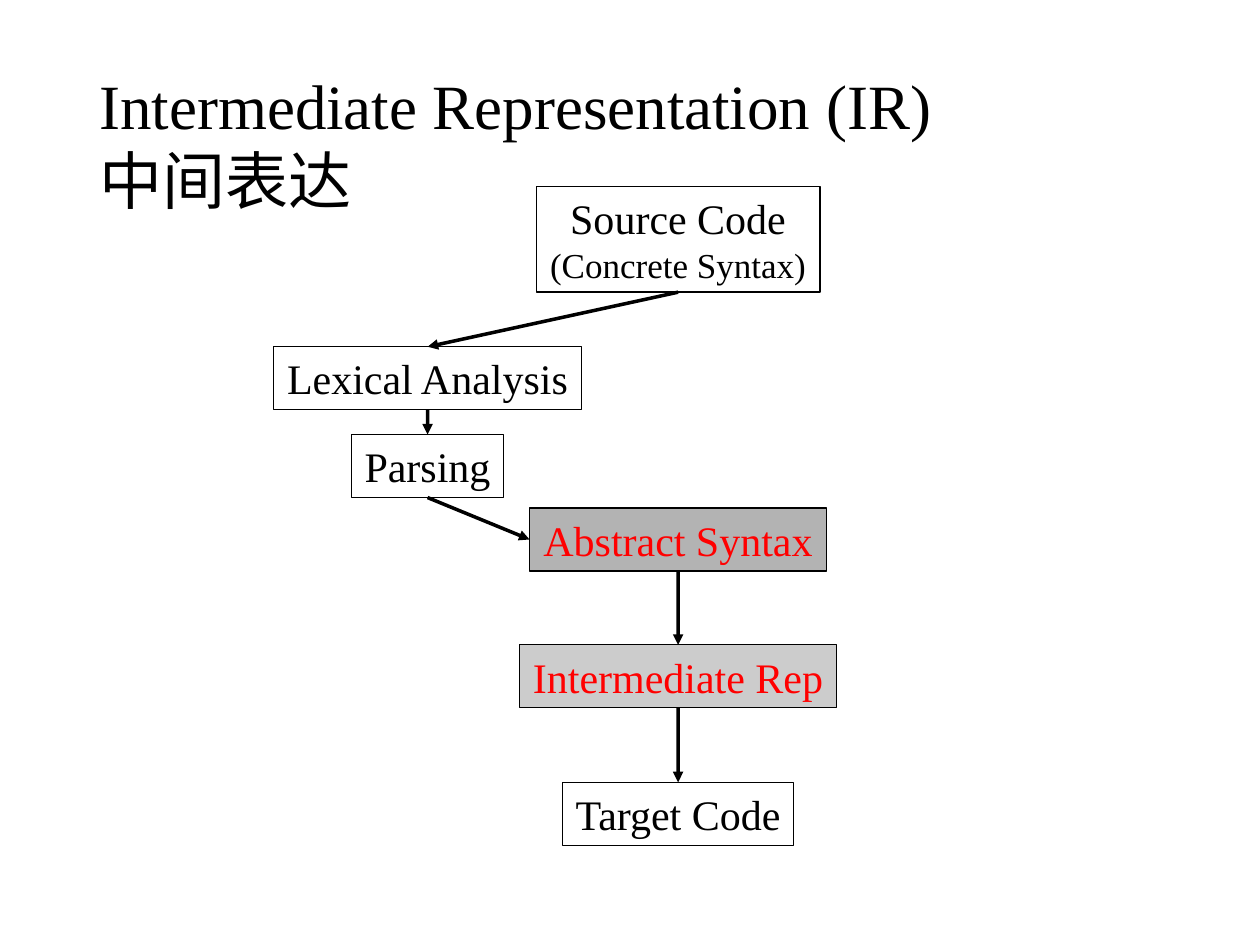
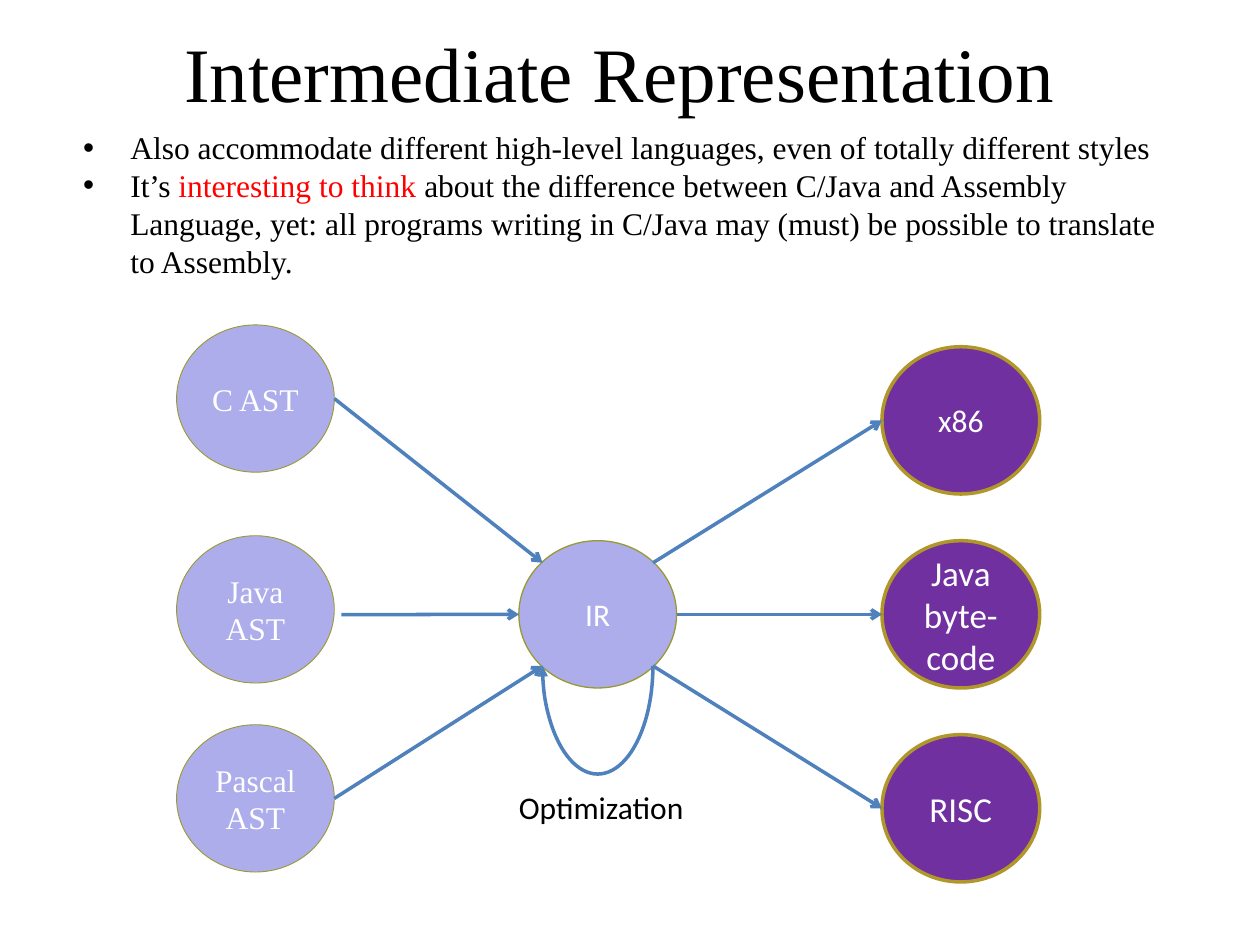
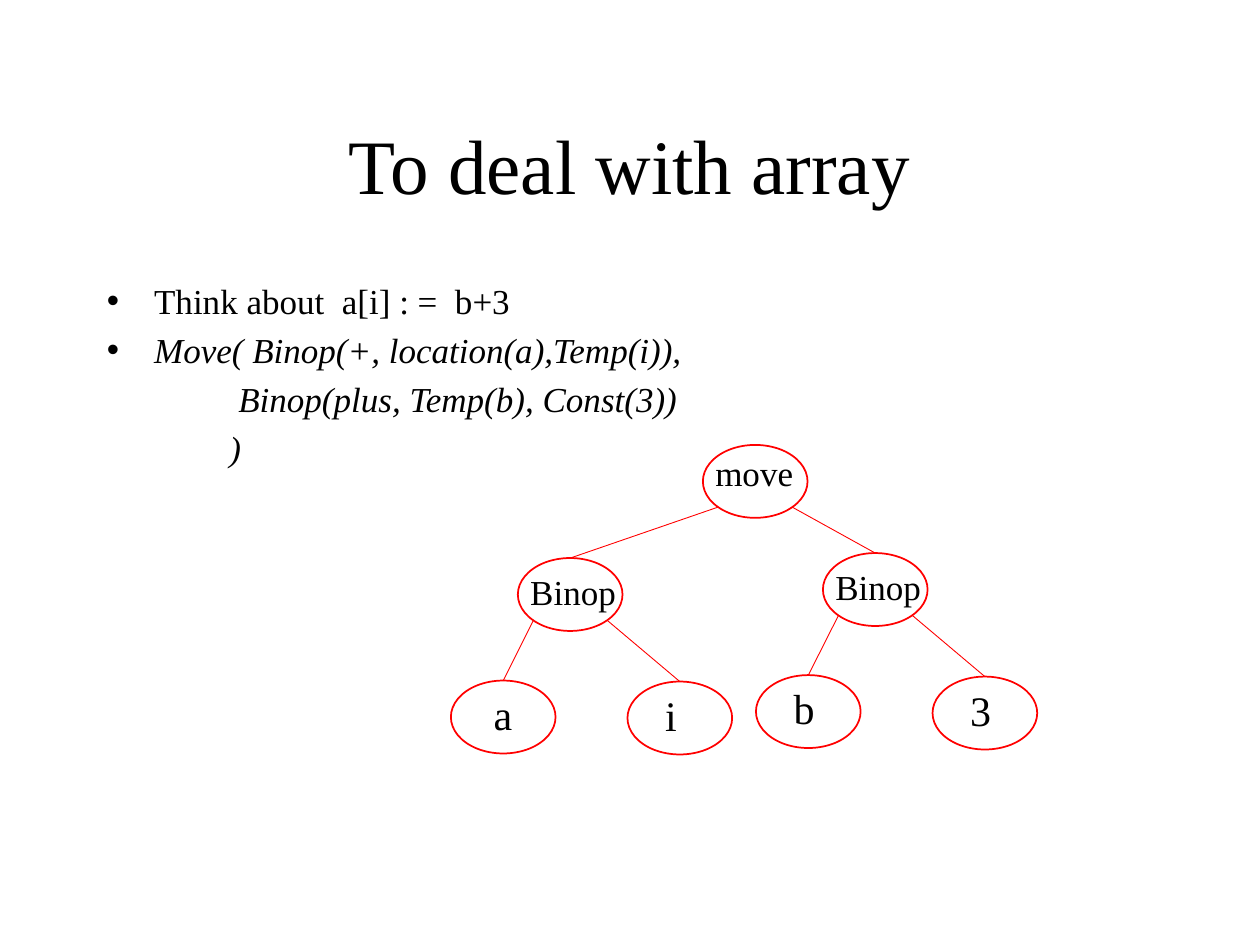
from lxml import etree
from pptx import Presentation
from pptx.dml.color import RGBColor
from pptx.enum.shapes import MSO_CONNECTOR, MSO_SHAPE
from pptx.enum.text import MSO_ANCHOR, MSO_AUTO_SIZE, PP_ALIGN
from pptx.oxml.ns import qn
from pptx.util import Cm, Pt

STRAIGHT = MSO_CONNECTOR.STRAIGHT
ELLIPSE, ARC = MSO_SHAPE.OVAL, MSO_SHAPE.ARC
MIDDLE, TOP_ANCHOR = MSO_ANCHOR.MIDDLE, MSO_ANCHOR.TOP
NO_FIT = MSO_AUTO_SIZE.NONE
LEFT_ALIGN, CENTER = PP_ALIGN.LEFT, PP_ALIGN.CENTER

BLACK = RGBColor(0x00, 0x00, 0x00)
WHITE = RGBColor(0xFF, 0xFF, 0xFF)
RED = RGBColor(0xFF, 0x00, 0x00)
DARK_GRAY = RGBColor(0xB3, 0xB3, 0xB3)
LIGHT_GRAY = RGBColor(0xCC, 0xCC, 0xCC)
LAVENDER = RGBColor(0xAD, 0xAD, 0xEB)
OLIVE = RGBColor(0x99, 0x99, 0x33)
PURPLE = RGBColor(0x70, 0x30, 0xA0)
GOLD = RGBColor(0xB1, 0x97, 0x29)
BLUE = RGBColor(0x4F, 0x81, 0xBD)

SERIF, SANS = "Times New Roman", "Calibri"
TITLE_ONLY, TITLE_AND_BODY = 5, 1

# Points on a shape, as fractions of its width and height
DIAGONAL = 0.35
TOP, BOTTOM, LEFT, RIGHT = (0.5, 0), (0.5, 1), (0, 0.5), (1, 0.5)
TOP_LEFT, TOP_RIGHT = (0.5 - DIAGONAL, 0.5 - DIAGONAL), (0.5 + DIAGONAL, 0.5 - DIAGONAL)
BOTTOM_LEFT, BOTTOM_RIGHT = (0.5 - DIAGONAL, 0.5 + DIAGONAL), (0.5 + DIAGONAL, 0.5 + DIAGONAL)

# Slide 1: compiler phases as (lines of (text, size), centre x, top, width, height, fill, colour)
FRONT_X, MAIN_X = 8.62, 13.67
PHASES = {
    "source": ([("Source Code", 24), ("(Concrete Syntax)", 20)], MAIN_X, 3.76, 5.72, 2.13, None, BLACK),
    "lexer": ([("Lexical Analysis", 24)], FRONT_X, 6.99, 6.22, 1.27, None, BLACK),
    "parser": ([("Parsing", 24)], FRONT_X, 8.76, 3.07, 1.27, None, BLACK),
    "syntax": ([("Abstract Syntax", 24)], MAIN_X, 10.24, 5.99, 1.27, DARK_GRAY, RED),
    "ir": ([("Intermediate Rep", 24)], MAIN_X, 13, 6.4, 1.27, LIGHT_GRAY, RED),
    "target": ([("Target Code", 24)], MAIN_X, 15.77, 4.67, 1.27, None, BLACK),
}
PHASE_STEPS = [
    ("source", "lexer", TOP),
    ("lexer", "parser", TOP),
    ("parser", "syntax", LEFT),
    ("syntax", "ir", TOP),
    ("ir", "target", TOP),
]

# Slide 2
IR_POINTS = [
    [("Also accommodate different high-level languages, even of totally different styles", BLACK)],
    [("It’s ", BLACK), ("interesting to think ", RED),
     ("about the difference between C/Java and Assembly Language, yet: all programs writing "
      "in C/Java may (must) be possible to translate to Assembly.", BLACK)],
]
CIRCLE_SIZE = (3.18, 2.97)
SOURCES_X, IR_X, TARGETS_X = 3.56, 10.46, 17.78
IR_TOP, TARGET_STEP = 10.9, 3.91
JAVA_ARROW_START = (6.88, 12.39)
LOOP_DEPTH = 2.18
# (lines, top, arrow end on the IR circle)
SOURCES = [
    (["C AST"], 6.55, TOP_LEFT),
    (["Java AST"], 10.8, LEFT),
    (["Pascal", "AST"], 14.61, BOTTOM_LEFT),
]
# (text, size, arrow start on the IR circle)
TARGETS = [
    ("x86", 18, TOP_RIGHT),
    ("Java byte-code", 20, RIGHT),
    ("RISC", 20, BOTTOM_RIGHT),
]

# Slide 3: (text, italic, indent of an unbulleted line)
ARRAY_LINES = [
    ("Think about  a[i] : =  b+3", False, None),
    ("Move( Binop(+, location(a),Temp(i)),", True, None),
    ("Binop(plus, Temp(b), Const(3))", True, 2.65),
    (")", True, 2.47),
]
NODE_SIZE = (2.11, 1.47)
# Label offset in its node, label width and height, text size
WORD, LEAF = (0, 0.13, 2.26, 1.12, 20), (0.51, 0.03, 0.94, 1.27, 24)
# key: (label, left, top, label format, parent, start on the parent)
TREE = {
    "move": ("move", 14.17, 8.97, (0, 0, 2.08, 1.12, 20), None, None),
    "address": ("Binop", 10.44, 11.25, WORD, "move", BOTTOM_LEFT),
    "sum": ("Binop", 16.59, 11.15, WORD, "move", BOTTOM_RIGHT),
    "a": ("a", 9.09, 13.72, (0.61, 0.03, 0.89, 1.27, 24), "address", BOTTOM_LEFT),
    "i": ("i", 12.65, 13.74, (0.51, 0.03, 0.74, 1.27, 24), "address", BOTTOM_RIGHT),
    "b": ("b", 15.24, 13.61, LEAF, "sum", BOTTOM_LEFT),
    "3": ("3", 18.8, 13.64, LEAF, "sum", BOTTOM_RIGHT),
}


def add_run(paragraph, text, size, color=BLACK, font=SERIF, italic=False):
    run = paragraph.add_run()
    run.text = text
    run.font.size, run.font.name = Pt(size), font
    run.font.color.rgb = color
    if italic:
        run.font.italic = True


def paragraphs_for(frame, items):
    """Yield each item with its own paragraph, starting with the empty first one."""
    for index, item in enumerate(items):
        yield frame.add_paragraph() if index else frame.paragraphs[0], item


def place(shape, left, top, width, height):
    shape.left, shape.top, shape.width, shape.height = Cm(left), Cm(top), Cm(width), Cm(height)


def set_title(slide, lines, box, size, align=CENTER):
    title = slide.shapes.title
    place(title, *box)
    frame = title.text_frame
    frame.auto_size, frame.vertical_anchor = NO_FIT, MIDDLE
    paragraph = frame.paragraphs[0]
    paragraph.alignment = align
    for index, line in enumerate(lines):
        if index:
            paragraph.add_line_break()
        add_run(paragraph, line, size)


def body_frame(slide, box):
    body = slide.placeholders[1]
    place(body, *box)
    frame = body.text_frame
    frame.auto_size, frame.vertical_anchor = NO_FIT, TOP_ANCHOR
    return frame


def add_label(slide, lines, box, color=BLACK, font=SERIF, align=LEFT_ALIGN):
    label = slide.shapes.add_textbox(*map(Cm, box))
    label.text_frame.word_wrap = False
    for paragraph, (text, size) in paragraphs_for(label.text_frame, lines):
        paragraph.alignment = align
        add_run(paragraph, text, size, color, font)
    return label


def outline(shape, color, width):
    shape.line.color.rgb = color
    shape.line.width = Pt(width)


def add_ellipse(slide, left, top, size, line_color, line_width, fill=None):
    ellipse = slide.shapes.add_shape(ELLIPSE, *map(Cm, (left, top, *size)))
    ellipse.shadow.inherit = False
    if fill is None:
        ellipse.fill.background()
    else:
        ellipse.fill.solid()
        ellipse.fill.fore_color.rgb = fill
    outline(ellipse, line_color, line_width)
    return ellipse


def add_circle(slide, lines, left, top, size, font, fill, line_color, line_width):
    circle = add_ellipse(slide, left, top, CIRCLE_SIZE, line_color, line_width, fill)
    circle.text_frame.vertical_anchor = MIDDLE
    for paragraph, line in paragraphs_for(circle.text_frame, lines):
        paragraph.alignment = CENTER
        add_run(paragraph, line, size, WHITE, font)
    return circle


def site(shape, point):
    return (int(shape.left + shape.width * point[0]), int(shape.top + shape.height * point[1]))


def add_arrowhead(shape, kind):
    etree.SubElement(shape.line._get_or_add_ln(), qn("a:tailEnd"), type=kind)


def connect(slide, start, end, color, width, head=None):
    line = slide.shapes.add_connector(STRAIGHT, *start, *end)
    outline(line, color, width)
    if head:
        add_arrowhead(line, head)
    etree.SubElement(line._element.spPr, qn("a:effectLst"))


def build_phases(slide):
    set_title(slide, ["Intermediate Representation (IR)", "中间表达"],
              (1.75, 1.27, 21.59, 3.18), 36, LEFT_ALIGN)
    boxes = {}
    for key, (lines, center_x, top, width, height, fill, color) in PHASES.items():
        box = add_label(slide, lines, (center_x - width / 2, top, width, height), color, align=CENTER)
        outline(box, BLACK, 0.75)
        if fill is not None:
            box.fill.solid()
            box.fill.fore_color.rgb = fill
        boxes[key] = box
    for start, end, end_point in PHASE_STEPS:
        connect(slide, site(boxes[start], BOTTOM), site(boxes[end], end_point), BLACK, 2, "triangle")


def build_hub(slide):
    set_title(slide, ["Intermediate Representation"], (1.7, 0.76, 21.59, 1.37), 44)
    frame = body_frame(slide, (1.42, 2.46, 22.56, 3.33))
    for paragraph, parts in paragraphs_for(frame, IR_POINTS):
        paragraph.space_before = Pt(0)
        for text, color in parts:
            add_run(paragraph, text, 18, color)

    ir = add_circle(slide, ["IR"], IR_X, IR_TOP, 18, SANS, LAVENDER, OLIVE, 0.75)
    for lines, top, ir_point in SOURCES:
        source = add_circle(slide, lines, SOURCES_X, top, 18, SERIF, LAVENDER, OLIVE, 0.5)
        start = tuple(map(Cm, JAVA_ARROW_START)) if ir_point == LEFT else site(source, RIGHT)
        connect(slide, start, site(ir, ir_point), BLUE, 2, "arrow")
    for row, (text, size, ir_point) in enumerate(TARGETS):
        top = IR_TOP + (row - 1) * TARGET_STEP
        target = add_circle(slide, [text], TARGETS_X, top, size, SANS, PURPLE, GOLD, 2)
        connect(slide, site(ir, ir_point), site(target, LEFT), BLUE, 2, "arrow")

    (loop_left, loop_y), (loop_right, _) = site(ir, BOTTOM_LEFT), site(ir, BOTTOM_RIGHT)
    depth = Cm(LOOP_DEPTH)
    loop = slide.shapes.add_shape(ARC, loop_left, loop_y - depth, loop_right - loop_left, 2 * depth)
    loop.adjustments[0], loop.adjustments[1] = 0, 108  # half a turn, in units of 100000/60000 degrees
    loop.shadow.inherit = False
    loop.fill.background()
    outline(loop, BLUE, 2)
    add_arrowhead(loop, "triangle")
    add_label(slide, [("Optimization", 18)], (10.21, 15.77, 3.86, 1.02), font=SANS)


def build_array_tree(slide):
    set_title(slide, ["To deal with array"], (1.9, 1.7, 21.59, 3.18), 44)
    frame = body_frame(slide, (1.9, 5.51, 13.54, 11.43))
    for paragraph, (text, italic, indent) in paragraphs_for(frame, ARRAY_LINES):
        add_run(paragraph, text, 20, italic=italic)
        if indent is not None:
            properties = paragraph._p.get_or_add_pPr()
            properties.set("marL", str(Cm(indent)))
            properties.set("indent", "0")
            etree.SubElement(properties, qn("a:buNone"))

    nodes = {}
    for key, (label, left, top, label_format, parent, parent_point) in TREE.items():
        dx, dy, width, height, size = label_format
        nodes[key] = add_ellipse(slide, left, top, NODE_SIZE, RED, 1)
        add_label(slide, [(label, size)], (left + dx, top + dy, width, height))
        if parent:
            connect(slide, site(nodes[parent], parent_point), site(nodes[key], TOP), RED, 0.5)


def main():
    deck = Presentation()
    deck.slide_width, deck.slide_height = Cm(25.4), Cm(19.05)
    for layout, build in [(TITLE_ONLY, build_phases), (TITLE_AND_BODY, build_hub),
                          (TITLE_AND_BODY, build_array_tree)]:
        build(deck.slides.add_slide(deck.slide_layouts[layout]))
    deck.save("out.pptx")


if __name__ == "__main__":
    main()
